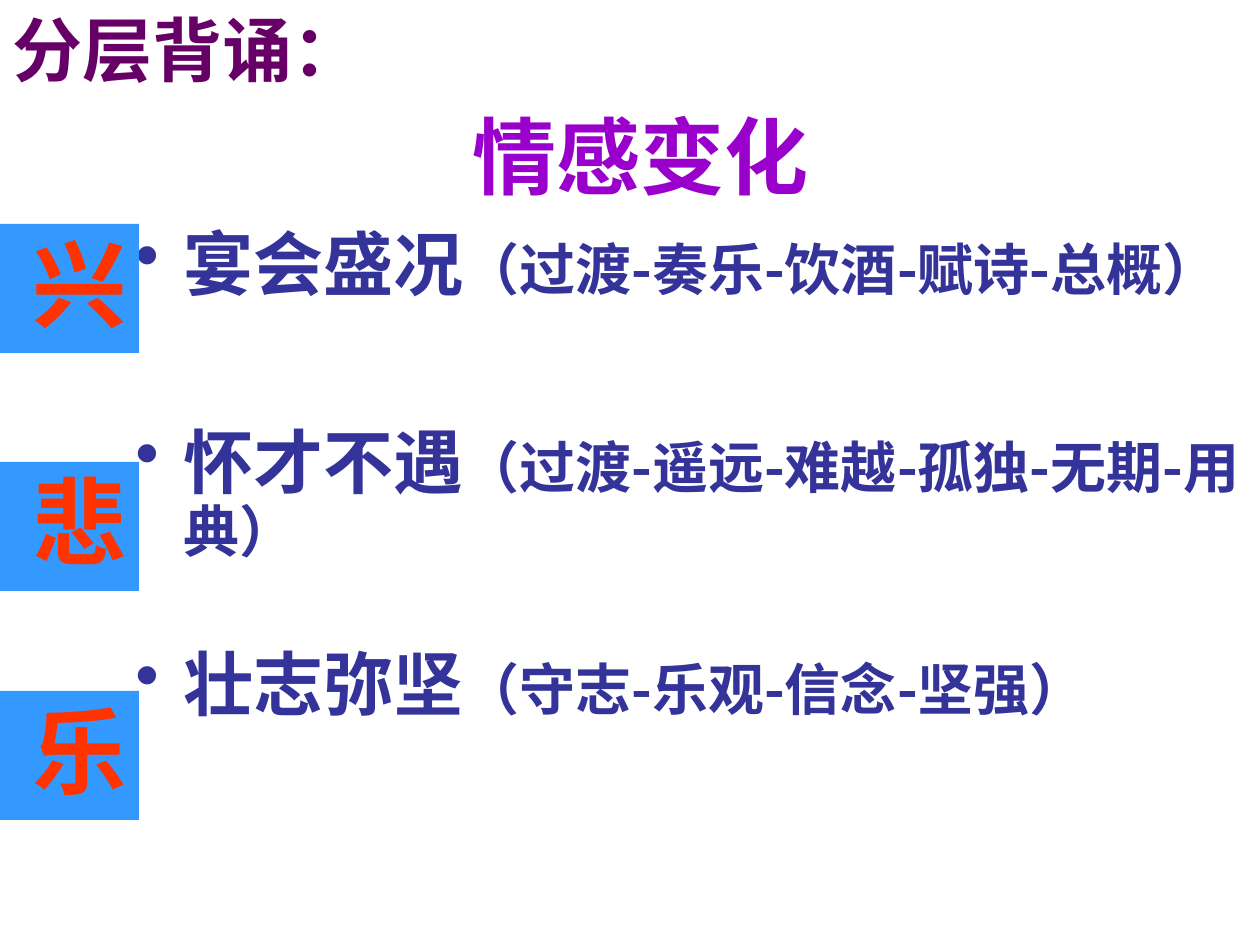
"""Build the slide on the three moods of a poem and the outline for reciting each."""
from lxml.etree import SubElement
from pptx import Presentation
from pptx.dml.color import RGBColor
from pptx.enum.shapes import MSO_SHAPE as Shape
from pptx.enum.text import MSO_ANCHOR as Anchor, PP_ALIGN as Align
from pptx.oxml.ns import qn
from pptx.util import Pt

PX = 914400 // 126
SANS = "Noto Sans CJK SC"
INDIGO = "333399"


def color(value):
    return RGBColor.from_string(value)


def add_text(paragraph, text, size, font, fill, align=Align.LEFT):
    paragraph.alignment = align
    run = paragraph.add_run()
    run.text = text
    run.font.size = Pt(size)
    run.font.name = font
    run.font.bold = True
    run.font.color.rgb = color(fill)


presentation = Presentation()
presentation.slide_width = 1260 * PX
presentation.slide_height = 945 * PX
slide = presentation.slides.add_slide(presentation.slide_layouts[5])

title = slide.shapes.title
title.left, title.top, title.width, title.height = [n * PX for n in (74, 76, 1134, 158)]
title.text_frame.vertical_anchor = Anchor.MIDDLE
add_text(title.text_frame.paragraphs[0], "情感变化", size=48, font=SANS,
         fill="9900CC", align=Align.CENTER)

stages = [
    ("兴", 224, 0, "宴会盛况", "（过渡-奏乐-饮酒-赋诗-总概）"),
    ("悲", 462, 70, "怀才不遇", "（过渡-遥远-难越-孤独-无期-用典）"),
    ("乐", 691, 49, "壮志弥坚", "（守志-乐观-信念-坚强）"),
]

outline = slide.shapes.add_textbox(123 * PX, 224 * PX, 1137 * PX, 624 * PX).text_frame
outline.word_wrap = True

for index, (mood, top, gap, theme, steps) in enumerate(stages):
    paragraph = outline.add_paragraph() if index else outline.paragraphs[0]
    properties = paragraph._p.get_or_add_pPr()
    properties.set("marL", str(48 * PX))
    properties.set("indent", str(-48 * PX))
    bullet_color = SubElement(properties, qn("a:buClr"))
    SubElement(bullet_color, qn("a:srgbClr"), val=INDIGO)
    SubElement(properties, qn("a:buChar"), char="•")
    paragraph.line_spacing = 0.9
    paragraph.space_before = Pt(gap)
    add_text(paragraph, theme, size=40, font=SANS, fill=INDIGO)
    add_text(paragraph, steps, size=32, font=SANS, fill=INDIGO)

    tile = slide.shapes.add_shape(Shape.RECTANGLE, 0, top * PX, 139 * PX, 129 * PX)
    tile.shadow.inherit = False
    tile.fill.solid()
    tile.fill.fore_color.rgb = color("3399FF")
    tile.line.fill.background()
    frame = tile.text_frame
    frame.word_wrap = True
    frame.vertical_anchor = Anchor.TOP
    frame.margin_left = frame.margin_right = 6 * PX
    frame.margin_top = frame.margin_bottom = 13 * PX
    frame._txBody.bodyPr.set("vert", "eaVert")
    add_text(frame.paragraphs[0], mood, size=54, font="Times New Roman", fill="FF3300")

heading = slide.shapes.add_textbox(0, 0, 362 * PX, 97 * PX).text_frame
heading.word_wrap = True
add_text(heading.paragraphs[0], "分层背诵：", size=40, font="Arial", fill="660066")

presentation.save("out.pptx")
